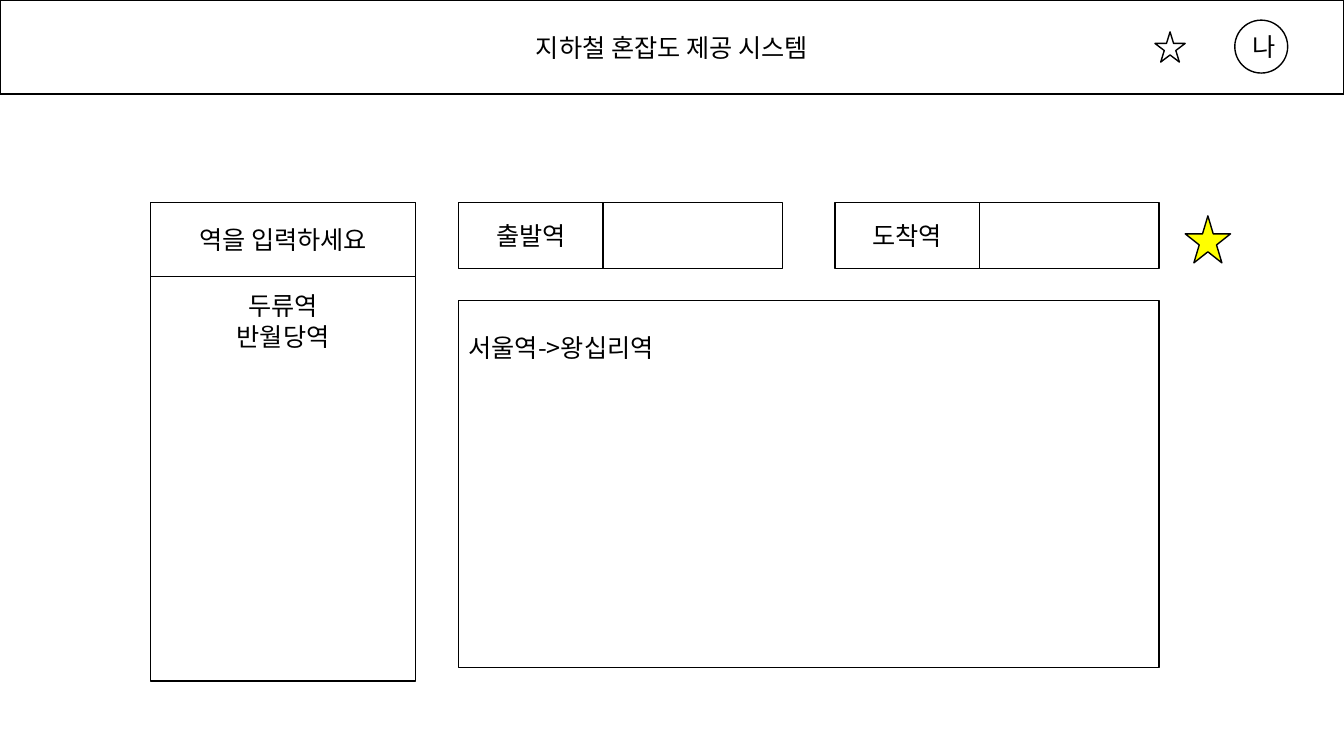
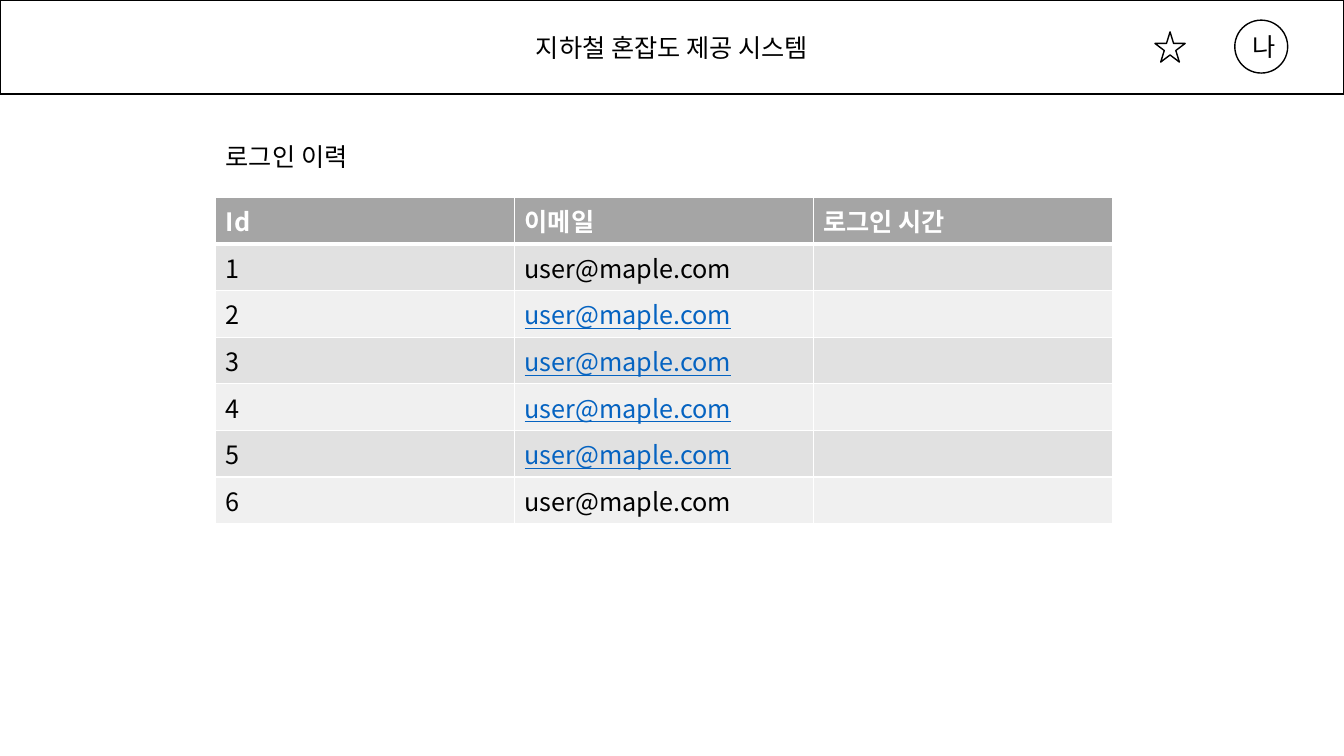
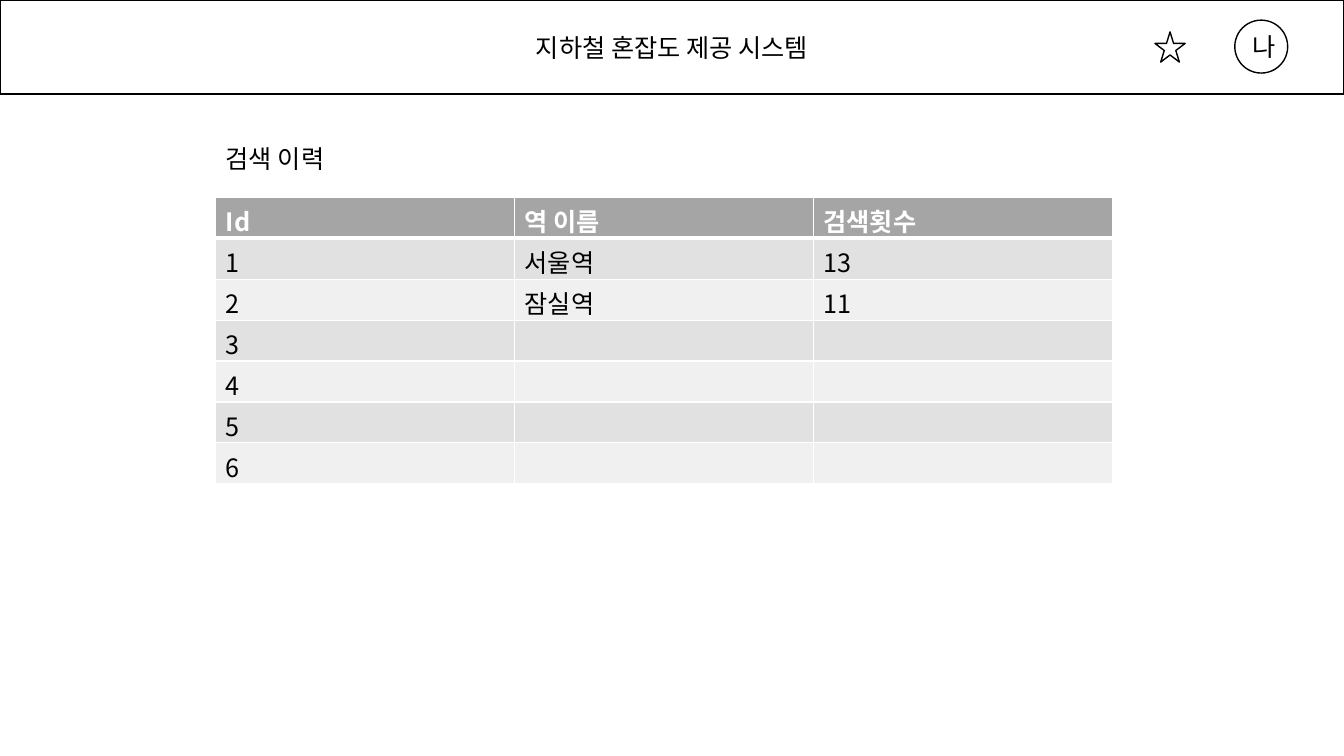
from dataclasses import dataclass

from lxml import etree
from pptx import Presentation
from pptx.dml.color import RGBColor
from pptx.enum.shapes import MSO_SHAPE
from pptx.enum.text import MSO_ANCHOR, PP_ALIGN
from pptx.oxml.ns import qn
from pptx.util import Inches, Pt

RECT, STAR, OVAL = MSO_SHAPE.RECTANGLE, MSO_SHAPE.STAR_5_POINT, MSO_SHAPE.OVAL
LEFT, CENTER, JUSTIFY = PP_ALIGN.LEFT, PP_ALIGN.CENTER, PP_ALIGN.JUSTIFY
TOP, MIDDLE = MSO_ANCHOR.TOP, MSO_ANCHOR.MIDDLE
BLANK = 6


@dataclass(frozen=True)
class Theme:
    """Colours, type and line sizes of the deck."""
    font: str = "Noto Sans CJK KR"
    size: int = 18
    leading: int = 22
    ink: str = "000000"
    paper: str = "FFFFFF"
    favourite: str = "FFFF00"
    link: str = "0563C1"
    head: str = "A5A5A5"
    bands: tuple = ("E1E1E1", "F0F0F0")
    rule: int = 1
    head_rule: int = 3


THEME = Theme()

deck = Presentation()
deck.slide_width, deck.slide_height = Inches(13.333), Inches(7.5)
COLUMN, ROW = deck.slide_width / 160, deck.slide_height / 90


@dataclass(frozen=True)
class Box:
    """An area in grid columns and rows."""
    left: float
    top: float
    width: float
    height: float

    def inner(self, left, top, width, height):
        """Return a box placed from this box's top left corner."""
        return Box(self.left + left, self.top + top, width, height)

    def place(self):
        """Return left, top, width and height as slide lengths."""
        return (round(self.left * COLUMN), round(self.top * ROW),
                round(self.width * COLUMN), round(self.height * ROW))


def add_span(para, text, color=THEME.ink, bold=False, underline=False):
    """Add one run in the deck's typeface."""
    span = para.add_run()
    span.text = text
    font = span.font
    font.name, font.size = THEME.font, Pt(THEME.size)
    font.bold, font.underline = bold, underline
    font.color.rgb = RGBColor.from_string(color)
    east_asian = etree.Element(qn("a:ea"), typeface=THEME.font)
    font._element.find(qn("a:latin")).addnext(east_asian)


def write_lines(frame, lines, align):
    """Write each line as a paragraph of the text frame."""
    for index, line in enumerate(lines):
        para = frame.add_paragraph() if index else frame.paragraphs[0]
        para.alignment, para.line_spacing = align, Pt(THEME.leading)
        add_span(para, line)


def add_figure(page, kind, box, lines=(), fill=THEME.paper, align=CENTER, inset=None):
    """Draw an outlined shape; an inset in rows sets its text from the top."""
    figure = page.shapes.add_shape(kind, *box.place())
    figure.shadow.inherit = False
    figure.fill.solid()
    figure.fill.fore_color.rgb = RGBColor.from_string(fill)
    figure.line.color.rgb = RGBColor.from_string(THEME.ink)
    figure.line.width = Pt(THEME.rule)
    frame = figure.text_frame
    frame.word_wrap = True
    frame.vertical_anchor = MIDDLE if inset is None else TOP
    if inset is not None:
        frame.margin_top = round(inset * ROW)
    write_lines(frame, lines, align)


def add_header(page, box):
    """Draw the title band with its favourites star and user badge."""
    add_figure(page, RECT, box, ["지하철 혼잡도 제공 시스템"])
    add_figure(page, STAR, box.inner(137.5, 3.8, 3.6, 3.6))
    add_figure(page, OVAL, box.inner(147, 2.4, 6.3, 6.3), ["나"])


def add_page():
    """Add a blank slide with the shared header."""
    page = deck.slides.add_slide(deck.slide_layouts[BLANK])
    add_header(page, Box(0, 0, 160, 11.2))
    return page


def add_station_panel(page, box, prompt, stations):
    """Draw the station list under its search prompt."""
    prompt_height = 8.8
    add_figure(page, RECT, box, stations, inset=prompt_height + 1.6)
    add_figure(page, RECT, box.inner(0, 0, box.width, prompt_height), [prompt])


def add_field(page, box, label):
    """Draw a labelled input field."""
    label_width = 17.2
    add_figure(page, RECT, box.inner(label_width, 0, box.width - label_width, box.height))
    add_figure(page, RECT, box.inner(0, 0, label_width, box.height), [label])


def add_route_area(page, box):
    """Draw the two station fields, the favourite star and the routes."""
    field_width, field_height, result_top = 38.6, 7.9, 11.7
    for left, label in ((0, "출발역"), (box.width - field_width, "도착역")):
        add_field(page, box.inner(left, 0, field_width, field_height), label)
    add_figure(page, STAR, box.inner(box.width + 3.1, 1.6, 5.4, 5.6), fill=THEME.favourite)
    add_figure(page, RECT, box.inner(0, result_top, box.width, box.height - result_top),
               ["서울역->왕십리역"], align=JUSTIFY, inset=3.7)


def set_borders(cell, bottom):
    """Give a cell paper-coloured borders, with its own bottom width."""
    properties = cell._tc.get_or_add_tcPr()
    widths = {"L": THEME.rule, "R": THEME.rule, "T": THEME.rule, "B": bottom}
    for side, width in widths.items():
        line = etree.SubElement(properties, qn(f"a:ln{side}"), w=str(Pt(width)))
        fill = etree.SubElement(line, qn("a:solidFill"))
        etree.SubElement(fill, qn("a:srgbClr"), val=THEME.paper)


def add_history_table(page, box, rows, linked):
    """Draw a banded table; cells whose (row, column) is in linked look like links."""
    grid = page.shapes.add_table(len(rows), len(rows[0]), *box.place()).table
    for row, values in enumerate(rows):
        is_head = row == 0
        for column, text in enumerate(values):
            cell = grid.cell(row, column)
            set_borders(cell, THEME.head_rule if is_head else THEME.rule)
            cell.fill.solid()
            band = THEME.head if is_head else THEME.bands[(row - 1) % 2]
            cell.fill.fore_color.rgb = RGBColor.from_string(band)
            is_link = (row, column) in linked
            color = THEME.paper if is_head else THEME.link if is_link else THEME.ink
            if text:
                add_span(cell.text_frame.paragraphs[0], text, color, is_head, is_link)


def add_history_page(title, title_top, rows, linked=()):
    """Add a slide with a small title above a table."""
    page = add_page()
    table_box = Box(25.7, 23.5, 106.7, 34.1)
    add_history_table(page, table_box, rows, linked)
    title_box = Box(table_box.left, title_top, 18.6, 4.8)
    frame = page.shapes.add_textbox(*title_box.place()).text_frame
    frame.word_wrap = True
    write_lines(frame, [title], LEFT)


def add_search_page():
    """Add the station search slide."""
    page = add_page()
    add_station_panel(page, Box(17.9, 24.1, 31.6, 57), "역을 입력하세요", ["두류역", "반월당역"])
    add_route_area(page, Box(54.6, 24.1, 83.4, 55.4))


EMAIL = "user@maple.com"
IDS = [str(number) for number in range(1, 7)]
SEARCHES = {"1": ("서울역", "13"), "2": ("잠실역", "11")}

add_search_page()
add_history_page("로그인 이력", 16.2,
                 [("Id", "이메일", "로그인 시간")] + [(key, EMAIL, "") for key in IDS],
                 linked={(row, 1) for row in range(2, 6)})
add_history_page("검색 이력", 16.4,
                 [("Id", "역 이름", "검색횟수")]
                 + [(key, *SEARCHES.get(key, ("", ""))) for key in IDS])
deck.save("out.pptx")
